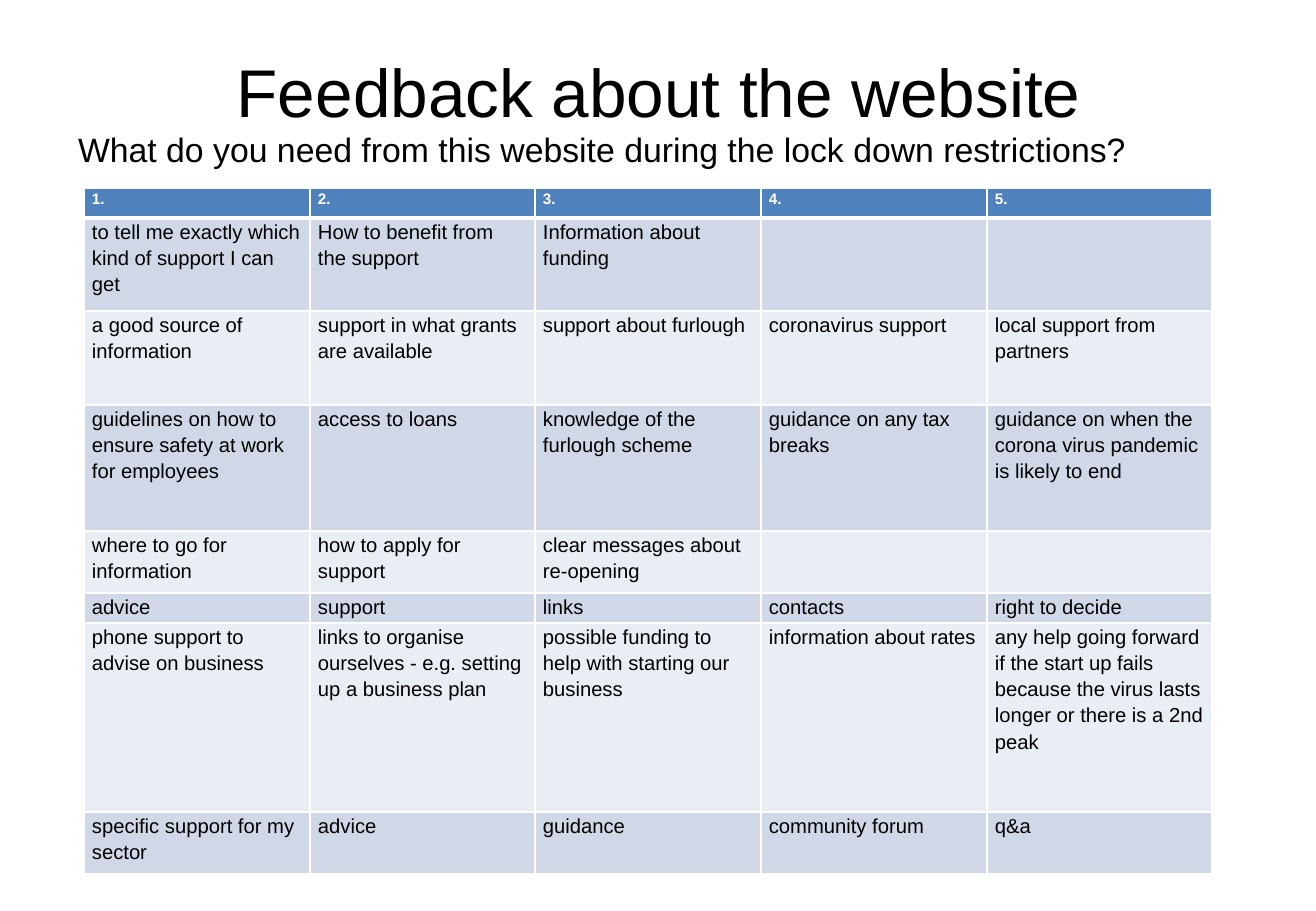
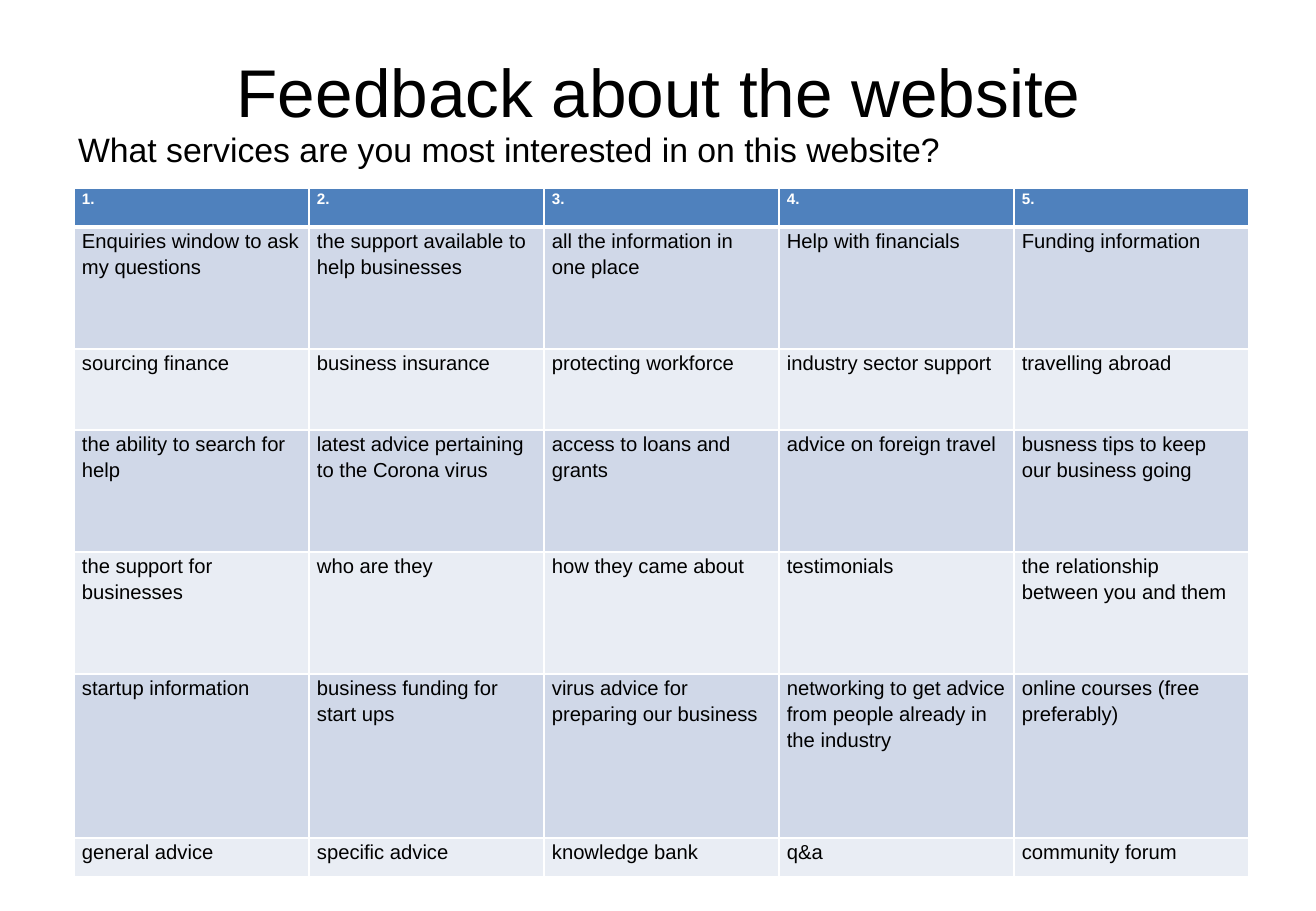
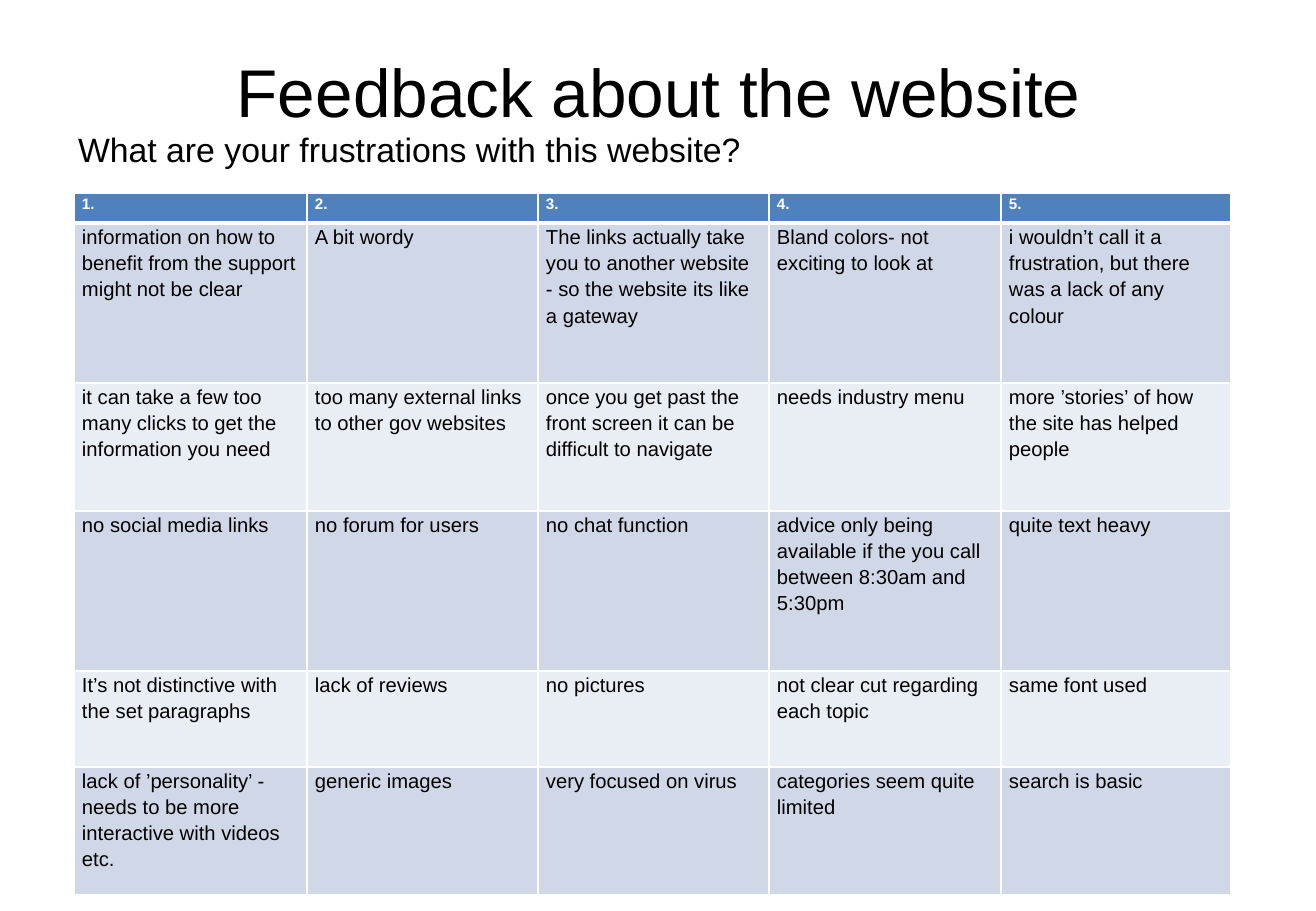
"""Build three website feedback slides, each with a question and a table of answers."""
from dataclasses import dataclass
from lxml import etree
from pptx import Presentation
from pptx import util as u
from pptx.dml.color import RGBColor
from pptx.enum import text
from pptx.oxml.ns import qn


@dataclass(frozen=True)
class Theme:
    font: str = "Arial"
    ink: str = "000000"
    white: str = "FFFFFF"
    header: str = "4F81BD"
    bands: tuple = ("D0D8E8", "E9EDF4")
    title_size: int = 40
    question_size: int = 20
    header_size: int = 9
    cell_size: int = 12
    line_spacing: float = 1.15
    cell_margin: int = 8
    rule: int = 1
    header_rule: int = 3


T = Theme()
PX = u.Inches(1) / 121.5


def px(n):
    return u.Emu(round(n * PX))


def write(tf, content, size, color, bold=False):
    tf.text = content
    p = tf.paragraphs[0]
    for r in p.runs:
        r.font.name, r.font.size, r.font.bold = T.font, u.Pt(size), bold
        r.font.color.rgb = RGBColor.from_string(color)
    return p


TITLE = "Feedback about the website"
HEADINGS = ["1.", "2.", "3.", "4.", "5."]
SLIDES = [
    dict(
        question="What do you need from this website during the lock down restrictions?",
        left=84, top=188,
        widths=[226, 225, 226, 226, 225],
        heights=[30, 93, 94, 126, 62, 30, 189, 62],
        answers=[
            ["to tell me exactly which kind of support I can get",
             "How to benefit from the support",
             "Information about funding", "", ""],
            ["a good source of information",
             "support in what grants are available",
             "support about furlough", "coronavirus support",
             "local support from partners"],
            ["guidelines on how to ensure safety at work for employees",
             "access to loans", "knowledge of the furlough scheme",
             "guidance on any tax breaks",
             "guidance on when the corona virus pandemic is likely to end"],
            ["where to go for information", "how to apply for support",
             "clear messages about re-opening", "", ""],
            ["advice", "support", "links", "contacts", "right to decide"],
            ["phone support to advise on business",
             "links to organise ourselves - e.g. setting up a business plan",
             "possible funding to help with starting our business",
             "information about rates",
             "any help going forward if the start up fails because the virus "
             "lasts longer or there is a 2nd peak"],
            ["specific support for my sector", "advice", "guidance",
             "community forum", "q&a"],
        ],
    ),
    dict(
        question="What services are you most interested in on this website?",
        left=74, top=188,
        widths=[235] * 5,
        heights=[39, 122, 81, 122, 122, 164, 39],
        answers=[
            ["Enquiries window to ask my questions",
             "the support available to help businesses",
             "all the information in one place",
             "Help with financials", "Funding information"],
            ["sourcing finance", "business insurance", "protecting workforce",
             "industry sector support", "travelling abroad"],
            ["the ability to search for help",
             "latest advice pertaining to the Corona virus",
             "access to loans and grants", "advice on foreign travel",
             "busness tips to keep our business going"],
            ["the support for businesses", "who are they",
             "how they came about", "testimonials",
             "the relationship between you and them"],
            ["startup information", "business funding for start ups",
             "virus advice for preparing our business",
             "networking to get advice from people already in the industry",
             "online courses (free preferably)"],
            ["general advice", "specific advice", "knowledge bank", "q&a",
             "community forum"],
        ],
    ),
    dict(
        question="What are your frustrations with this website?",
        left=74, top=193,
        widths=[233, 231, 231, 232, 230],
        heights=[30, 160, 128, 160, 96, 128],
        answers=[
            ["information on how to benefit from the support might not be clear",
             "A bit wordy",
             "The links actually take you to another website - so the website "
             "its like a gateway",
             "Bland colors- not exciting to look at",
             "i wouldn’t call it a frustration, but there was a lack of any colour"],
            ["it can take a few too many clicks to get the information you need",
             "too many external links to other gov websites",
             "once you get past the front screen it can be difficult to navigate",
             "needs industry menu",
             "more ’stories’ of how the site has helped people"],
            ["no social media links", "no forum for users", "no chat function",
             "advice only being available if the you call between 8:30am and 5:30pm",
             "quite text heavy"],
            ["It’s not distinctive with the set paragraphs", "lack of reviews",
             "no pictures", "not clear cut regarding each topic",
             "same font used"],
            ["lack of ’personality’ - needs to be more interactive with videos etc.",
             "generic images", "very focused on virus",
             "categories seem quite limited", "search is basic"],
        ],
    ),
]

prs = Presentation()
prs.slide_width, prs.slide_height = px(1316), px(911)

for page in SLIDES:
    s = prs.slides.add_slide(prs.slide_layouts[6])

    for content, size, align, top, height, inset in (
        (TITLE, T.title_size, text.PP_ALIGN.CENTER, 36, 152, 14),
        (page["question"], T.question_size, text.PP_ALIGN.LEFT, 120, 755, 9),
    ):
        tf = s.shapes.add_textbox(px(66), px(top), px(1185), px(height)).text_frame
        tf.word_wrap = True
        tf.margin_left = tf.margin_right = px(12)
        tf.margin_top = px(inset)
        write(tf, content, size, T.ink).alignment = align

    widths, heights = page["widths"], page["heights"]
    table = s.shapes.add_table(
        len(heights), len(widths), px(page["left"]), px(page["top"]),
        px(sum(widths)), px(sum(heights))).table
    table.horz_banding = False
    for column, width in zip(table.columns, widths):
        column.width = px(width)
    for row, height in zip(table.rows, heights):
        row.height = px(height)

    for i, answers in enumerate([HEADINGS] + page["answers"]):
        is_header = i == 0
        fill = T.header if is_header else T.bands[(i - 1) % 2]
        size = T.header_size if is_header else T.cell_size
        color = T.white if is_header else T.ink
        rules = dict(lnL=T.rule, lnR=T.rule,
                     lnT=T.header_rule if i == 1 else T.rule,
                     lnB=T.header_rule if is_header else T.rule)
        for j, answer in enumerate(answers):
            cell = table.cell(i, j)
            cell.margin_left = cell.margin_right = px(T.cell_margin)
            cell.margin_top = cell.margin_bottom = 0
            p = write(cell.text_frame, answer, size, color, is_header)
            p.line_spacing = T.line_spacing
            tc_pr = cell._tc.get_or_add_tcPr()
            for side, weight in rules.items():
                ln = etree.SubElement(tc_pr, qn(f"a:{side}"), w=str(u.Pt(weight)))
                solid = etree.SubElement(ln, qn("a:solidFill"))
                etree.SubElement(solid, qn("a:srgbClr"), val=T.white)
            cell.fill.solid()
            cell.fill.fore_color.rgb = RGBColor.from_string(fill)

prs.save("out.pptx")
